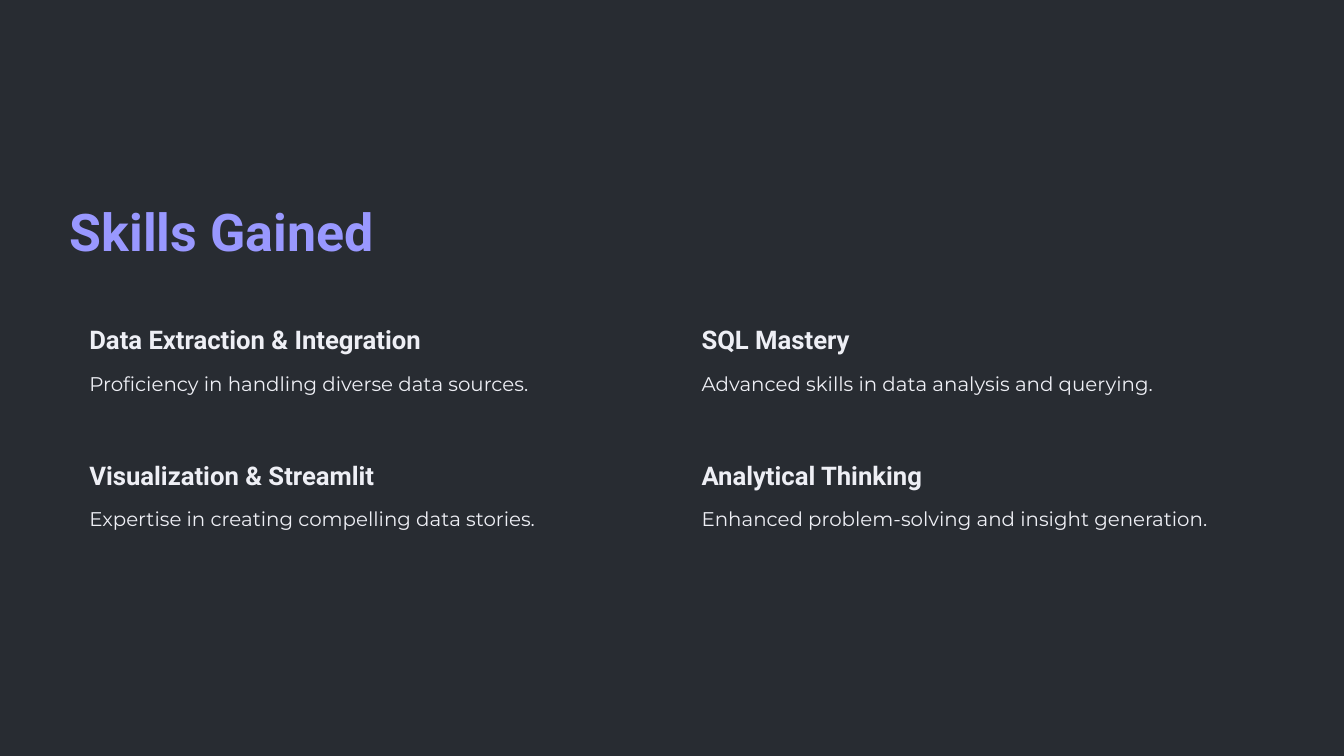
from dataclasses import dataclass

from pptx import Presentation
from pptx.dml.color import RGBColor
from pptx.enum.shapes import MSO_SHAPE as SHAPE
from pptx.enum.text import MSO_AUTO_SIZE as AUTO_SIZE
from pptx.util import Inches, Pt

WIDTH, HEIGHT = 20, 11.25
LEFT, TOP = 1.04, 4.53
CARD_W, CARD_H, GAP = 8.82, 1.73, 0.29
RADIUS = 0.26
PAD_X, PAD_Y = 0.29, 0.26
COLUMNS = 2

SKILLS = [
    ("Data Extraction & Integration", "Proficiency in handling diverse data sources."),
    ("SQL Mastery", "Advanced skills in data analysis and querying."),
    ("Visualization & Streamlit", "Expertise in creating compelling data stories."),
    ("Analytical Thinking", "Enhanced problem-solving and insight generation."),
]


@dataclass(frozen=True)
class Theme:
    background: str = "282C32"
    card: str = "282C32"
    accent: str = "9998FF"
    text: str = "EEEFF5"
    heading_font: str = "Roboto"
    body_font: str = "Montserrat"
    title_size: float = 55.6
    heading_size: float = 27.5
    body_size: float = 21.2
    title_leading: float = 70
    heading_leading: float = 35
    body_leading: float = 33.7


def write(tf, text, *, font, size, color, leading, bold=False):
    """Put one formatted line of text into a text frame."""
    p = tf.paragraphs[0]
    p.line_spacing = Pt(leading)
    r = p.add_run()
    r.text = text
    r.font.name = font
    r.font.size = Pt(size)
    r.font.bold = bold
    r.font.color.rgb = RGBColor.from_string(color)


class SlideBuilder:
    def __init__(self, slide, theme):
        self.s = slide
        self.theme = theme

    def shape(self, kind, x, y, w, h, color):
        sp = self.s.shapes.add_shape(kind, Inches(x), Inches(y), Inches(w), Inches(h))
        sp.shadow.inherit = False
        sp.fill.solid()
        sp.fill.fore_color.rgb = RGBColor.from_string(color)
        sp.line.fill.background()
        return sp

    def text(self, text, x, y, w, h, **style):
        sp = self.s.shapes.add_textbox(Inches(x), Inches(y), Inches(w), Inches(h))
        tf = sp.text_frame
        tf.margin_left = tf.margin_right = tf.margin_top = tf.margin_bottom = 0
        tf.word_wrap = True
        tf.auto_size = AUTO_SIZE.SHAPE_TO_FIT_TEXT
        write(tf, text, **style)

    def background(self):
        self.shape(SHAPE.RECTANGLE, 0, 0, WIDTH, HEIGHT, self.theme.background)

    def title(self, text):
        t = self.theme
        self.text(text, LEFT, 2.92, 7.79, 1.02, font=t.heading_font, size=t.title_size,
                  color=t.accent, leading=t.title_leading, bold=True)

    def card(self, x, y, heading, body):
        t = self.theme
        sp = self.shape(SHAPE.ROUNDED_RECTANGLE, x, y, CARD_W, CARD_H, t.card)
        sp.adjustments[0] = RADIUS / CARD_H
        text_x, text_w = x + PAD_X, CARD_W - 2 * PAD_X
        self.text(heading, text_x, y + PAD_Y, text_w, 0.52, font=t.heading_font,
                  size=t.heading_size, color=t.text, leading=t.heading_leading, bold=True)
        self.text(body, text_x, y + 0.88, text_w, 0.56, font=t.body_font,
                  size=t.body_size, color=t.text, leading=t.body_leading)


def main():
    prs = Presentation()
    prs.slide_width, prs.slide_height = Inches(WIDTH), Inches(HEIGHT)
    builder = SlideBuilder(prs.slides.add_slide(prs.slide_layouts[6]), Theme())
    builder.background()
    builder.title("Skills Gained")
    for i, (heading, body) in enumerate(SKILLS):
        row, col = divmod(i, COLUMNS)
        builder.card(LEFT + col * (CARD_W + GAP), TOP + row * (CARD_H + GAP), heading, body)
    prs.save("out.pptx")


if __name__ == "__main__":
    main()
